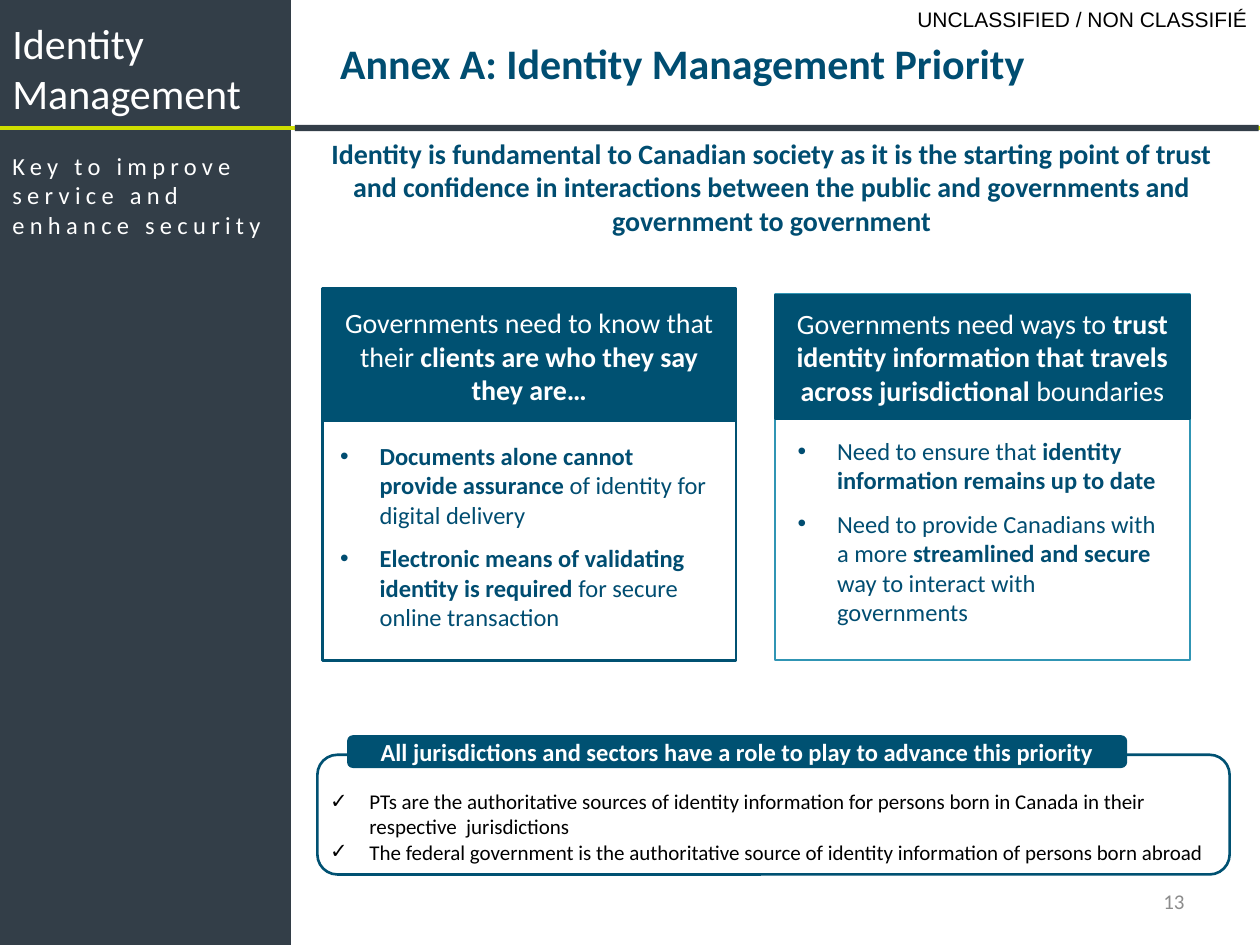
import pptx
import pptx.dml.color
import pptx.enum.shapes
import pptx.enum.text
import pptx.util
from lxml import etree

Pt = pptx.util.Pt
SHAPE = pptx.enum.shapes.MSO_SHAPE
ALIGN = pptx.enum.text.PP_ALIGN
ANCHOR = pptx.enum.text.MSO_ANCHOR
A = "{http://schemas.openxmlformats.org/drawingml/2006/main}"

# Content: a paragraph is a list of (text, bold) runs; boxes are in points.
TITLE = [[("Annex A: Identity Management Priority", True)]]
INTRO = [[("Identity is fundamental to Canadian society as it is the starting point of trust "
           "and confidence in interactions between the public and governments and "
           "government to government", True)]]
CARDS = [
    {"x": 184.3, "y": 166.3, "w": 236.2, "head_h": 74.2, "frame_y": 164.9, "line": "blue",
     "list_id": 2, "list_box": (187.2, 248.4, 229.7, 117.4),
     "head": [("Governments need to know that their ", False),
              ("clients are who they say they are…", True)],
     "points": [
         [("Documents alone cannot provide assurance ", True),
          ("of identity for digital delivery", False)],
         [("Electronic means of validating identity is required", True),
          (" for secure online transaction", False)]]},
    {"x": 442.8, "y": 168.5, "w": 237.2, "head_h": 70.6, "frame_y": 168.5, "line": "teal",
     "list_id": 4, "list_box": (448.6, 245.5, 227.5, 117.4),
     "head": [("Governments need ways to ", False),
              ("trust identity information that travels across jurisdictional", True),
              (" boundaries", False)],
     "points": [
         [("Need to ensure that ", False), ("identity information remains up to date", True)],
         [("Need to provide Canadians with a more ", False), ("streamlined and secure ", True),
          ("way to interact with governments", False)]]},
]
CARD_BOTTOM = 377.3
ROLE = [[("All jurisdictions and sectors have a role to play to advance this priority", True)]]
SOURCES = [
    [("PTs are the authoritative sources of identity information for persons born in Canada "
      "in their respective  jurisdictions", False)],
    [("The federal government is the authoritative source of identity information of persons "
      "born abroad", False)],
]
SIDE_TEXTS = [
    ((0, 6.5, 160.6, 65.5), "Identity Management", {"size": "title"}),
    ((0, 82.8, 167, 216), "Key to improve service and enhance security",
     {"size": "body", "spacing": 3}),
]

THEME = {
    "font": "Calibri", "mark_font": "Arial",
    "colors": {"navy": "004D71", "blue": "005172", "teal": "3095B4", "slate": "333E48",
               "lime": "CFDE00", "white": "FFFFFF", "black": "000000", "gray": "8C8C8C"},
    "sizes": {"title": 24, "head": 16, "body": 14, "small": 12},
}


def rgb(name):
    """Return a theme colour."""
    return pptx.dml.color.RGBColor.from_string(THEME["colors"][name])


def place(sp, box):
    """Move and size a shape."""
    for key, value in zip(("left", "top", "width", "height"), box):
        setattr(sp, key, Pt(value))


def write(sp, paragraphs, size="body", color="white", align=ALIGN.LEFT, anchor=ANCHOR.TOP,
          after=0, bullet=None, spacing=0, font=THEME["font"]):
    """Fill a shape with formatted paragraphs."""
    tf = sp.text_frame
    frame = {"word_wrap": True, "auto_size": pptx.enum.text.MSO_AUTO_SIZE.NONE,
             "vertical_anchor": anchor, "margin_left": Pt(7.2), "margin_right": Pt(7.2),
             "margin_top": Pt(3.6), "margin_bottom": Pt(3.6)}
    for key, value in frame.items():
        setattr(tf, key, value)
    for i, runs in enumerate(paragraphs):
        p = tf.paragraphs[0] if i == 0 else tf.add_paragraph()
        layout = {"alignment": align, "space_before": Pt(0), "space_after": Pt(after),
                  "line_spacing": 1.0}
        for key, value in layout.items():
            setattr(p, key, value)
        set_bullet(p, bullet)
        for text, bold in runs:
            r = p.add_run()
            r.text = text
            look = {"name": font, "size": Pt(THEME["sizes"][size]), "bold": bold}
            for key, value in look.items():
                setattr(r.font, key, value)
            r.font.color.rgb = rgb(color)
            if spacing:
                r._r.get_or_add_rPr().set("spc", str(spacing * 100))


def set_bullet(p, mark):
    """Give a paragraph a hanging bullet, or none."""
    pPr = p._p.get_or_add_pPr()
    indent = Pt(22.5) if mark else 0
    pPr.set("marL", str(indent))
    pPr.set("indent", str(-indent))
    if mark:
        etree.SubElement(pPr, A + "buFont", typeface=THEME["mark_font"])
        etree.SubElement(pPr, A + "buChar", char=mark)
    else:
        etree.SubElement(pPr, A + "buNone")


def add_box(s, box, kind=SHAPE.RECTANGLE, fill=None, line=None, weight=1.5):
    """Add a flat preset shape."""
    sp = s.shapes.add_shape(kind, *map(Pt, box))
    sp.shadow.inherit = False
    if fill:
        sp.fill.solid()
        sp.fill.fore_color.rgb = rgb(fill)
    else:
        sp.fill.background()
    if line:
        sp.line.color.rgb = rgb(line)
        sp.line.width = Pt(weight)
    else:
        sp.line.fill.background()
    return sp


def add_text(s, box, text, **look):
    """Add a one-run text box."""
    write(s.shapes.add_textbox(*map(Pt, box)), [[(text, False)]], **look)


def fill_placeholder(s, idx, box, paragraphs, **look):
    """Place and fill a layout placeholder."""
    sp = next(ph for ph in s.placeholders if ph.placeholder_format.idx == idx)
    place(sp, box)
    write(sp, paragraphs, **look)


def add_card(s, card):
    """Add a framed list with a filled heading."""
    x, w, top = card["x"], card["w"], card["frame_y"]
    add_box(s, (x, top, w, CARD_BOTTOM - top), line=card["line"])
    head = add_box(s, (x, card["y"], w, card["head_h"]), fill="blue", line="blue")
    write(head, [card["head"]], size="head", align=ALIGN.CENTER, anchor=ANCHOR.MIDDLE)
    fill_placeholder(s, card["list_id"], card["list_box"], card["points"],
                     color="navy", after=8, bullet="•")


def add_rule(s, y):
    """Add the lime line across the slide."""
    line = s.shapes.add_connector(pptx.enum.shapes.MSO_CONNECTOR.STRAIGHT,
                                  0, Pt(y), Pt(720), Pt(y))
    line.line.color.rgb = rgb("lime")
    line.line.width = Pt(2.25)
    etree.SubElement(line._element.spPr, A + "effectLst")


def main():
    """Build and save the slide."""
    prs = pptx.Presentation()
    prs.slide_width, prs.slide_height = Pt(720), Pt(540)
    s = prs.slides.add_slide(prs.slide_layouts.get_by_name("Comparison"))

    add_text(s, (0, 0, 720, 21.6), "UNCLASSIFIED / NON CLASSIFIÉ", size="small",
             color="black", align=ALIGN.RIGHT, font="Arial")
    add_box(s, (0, 0, 166.3, 540), fill="slate")
    for box, text, look in SIDE_TEXTS:
        add_text(s, box, text, **look)
    fill_placeholder(s, 0, (187.2, 18, 496.8, 36), TITLE, size="title", color="navy")
    fill_placeholder(s, 3, (180, 74.2, 522, 65.5), INTRO, size="head", color="navy",
                     align=ALIGN.CENTER)
    for card in CARDS:
        add_card(s, card)

    add_box(s, (181.4, 431.3, 521.3, 68.4), SHAPE.ROUNDED_RECTANGLE, line="blue")
    badge = add_box(s, (198.7, 420.5, 445, 18), SHAPE.ROUNDED_RECTANGLE, "blue", "blue", 0.75)
    write(badge, ROLE, align=ALIGN.CENTER, anchor=ANCHOR.MIDDLE)
    fill_placeholder(s, 1, (181.4, 447.1, 521.3, 43.9), SOURCES, size="small",
                     color="black", bullet="✓")
    add_text(s, (516.2, 500.4, 167.8, 28.8), "13", size="small", color="gray",
             align=ALIGN.RIGHT, anchor=ANCHOR.MIDDLE)
    add_rule(s, 73.4)
    add_box(s, (168.5, 71.3, 550.8, 3.6), fill="slate")
    prs.save("out.pptx")


main()
